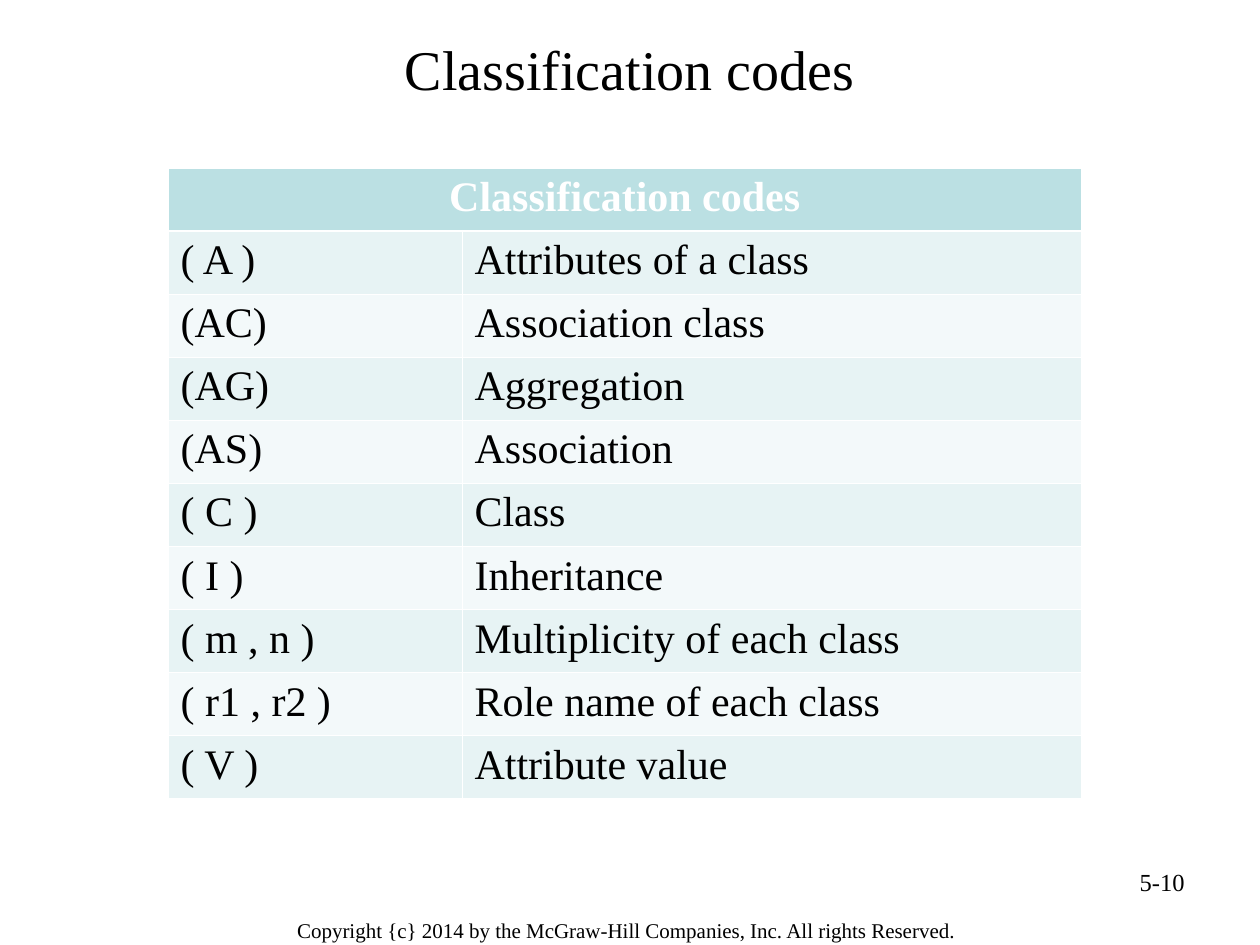
from pptx import Presentation
from pptx.dml.color import RGBColor
from pptx.enum.text import MSO_ANCHOR, PP_ALIGN
from pptx.oxml.ns import qn
from pptx.util import Pt
from lxml.etree import SubElement

TITLE = "Classification codes"
PAGE_NUMBER = "5-10"
COPYRIGHT = "Copyright {c} 2014 by the McGraw-Hill Companies, Inc. All rights Reserved."
TABLE_HEADING = "Classification codes"
CODES = [
    ("( A )", "Attributes of a class"),
    ("(AC)", "Association class"),
    ("(AG)", "Aggregation"),
    ("(AS)", "Association"),
    ("( C )", "Class"),
    ("( I )", "Inheritance"),
    ("( m , n )", "Multiplicity of each class"),
    ("( r1 , r2 )", "Role name of each class"),
    ("( V )", "Attribute value"),
]
COLORS = {
    "text": "000000",
    "white": "FFFFFF",
    "heading": "BBE0E3",
    "odd": "E7F3F4",
    "even": "F3F9FA",
}
FONT = "Times New Roman"
COLUMN_WIDTHS = (168, 354)
ROW_HEIGHT = 36
THIN, THICK = 0.45, 1.47


def write_text(text_frame, text, size=24, color="text", bold=False, align=PP_ALIGN.LEFT):
    paragraph = text_frame.paragraphs[0]
    paragraph.alignment = align
    run = paragraph.add_run()
    run.text = text
    run.font.name = FONT
    run.font.size = Pt(size)
    run.font.bold = bold
    run.font.color.rgb = RGBColor.from_string(COLORS[color])


def add_text_box(slide, text, left, top, width, height, inset=(7.2, 3.6),
                 anchor=MSO_ANCHOR.TOP, **text_format):
    shape = slide.shapes.add_textbox(Pt(left), Pt(top), Pt(width), Pt(height))
    frame = shape.text_frame
    frame.word_wrap = True
    frame.vertical_anchor = anchor
    frame.margin_left = frame.margin_right = Pt(inset[0])
    frame.margin_top = frame.margin_bottom = Pt(inset[1])
    write_text(frame, text, **text_format)


def style_cell(cell, fill, top=THIN, bottom=THIN):
    properties = cell._tc.get_or_add_tcPr()
    for side, width in (("L", THIN), ("R", THIN), ("T", top), ("B", bottom)):
        line = SubElement(properties, qn(f"a:ln{side}"), w=str(int(Pt(width))))
        line_fill = SubElement(line, qn("a:solidFill"))
        SubElement(line_fill, qn("a:srgbClr"), val=COLORS["white"])
    cell.fill.solid()
    cell.fill.fore_color.rgb = RGBColor.from_string(COLORS[fill])


def add_codes_table(slide, left, top):
    row_count = len(CODES) + 1
    table = slide.shapes.add_table(
        row_count, len(COLUMN_WIDTHS), Pt(left), Pt(top),
        Pt(sum(COLUMN_WIDTHS)), Pt(ROW_HEIGHT * row_count)).table
    for column, width in zip(table.columns, COLUMN_WIDTHS):
        column.width = Pt(width)
    for row in table.rows:
        row.height = Pt(ROW_HEIGHT)

    # Heading row across both columns
    heading = table.cell(0, 0)
    heading.merge(table.cell(0, 1))
    write_text(heading.text_frame, TABLE_HEADING, color="white", bold=True,
               align=PP_ALIGN.CENTER)
    for cell in table.rows[0].cells:
        style_cell(cell, "heading", bottom=THICK)

    # Banded code rows
    for index, entry in enumerate(CODES, start=1):
        for cell, text in zip(table.rows[index].cells, entry):
            write_text(cell.text_frame, text)
            style_cell(cell, "odd" if index % 2 else "even",
                       top=THICK if index == 1 else THIN)


def main():
    presentation = Presentation()
    presentation.slide_width, presentation.slide_height = Pt(720), Pt(540)
    slide = presentation.slides.add_slide(presentation.slide_layouts[6])

    # Copyright line, title and page number
    add_text_box(slide, COPYRIGHT, 135, 520, 446, 22, inset=(7.92, 4.32),
                 size=12, align=PP_ALIGN.CENTER)
    add_text_box(slide, TITLE, 36, 12, 648, 54, anchor=MSO_ANCHOR.MIDDLE,
                 size=32, align=PP_ALIGN.CENTER)
    add_text_box(slide, PAGE_NUMBER, 516, 492, 168, 37, size=14, align=PP_ALIGN.RIGHT)

    # Table of codes
    add_codes_table(slide, 96, 96)
    presentation.save("out.pptx")


if __name__ == "__main__":
    main()
